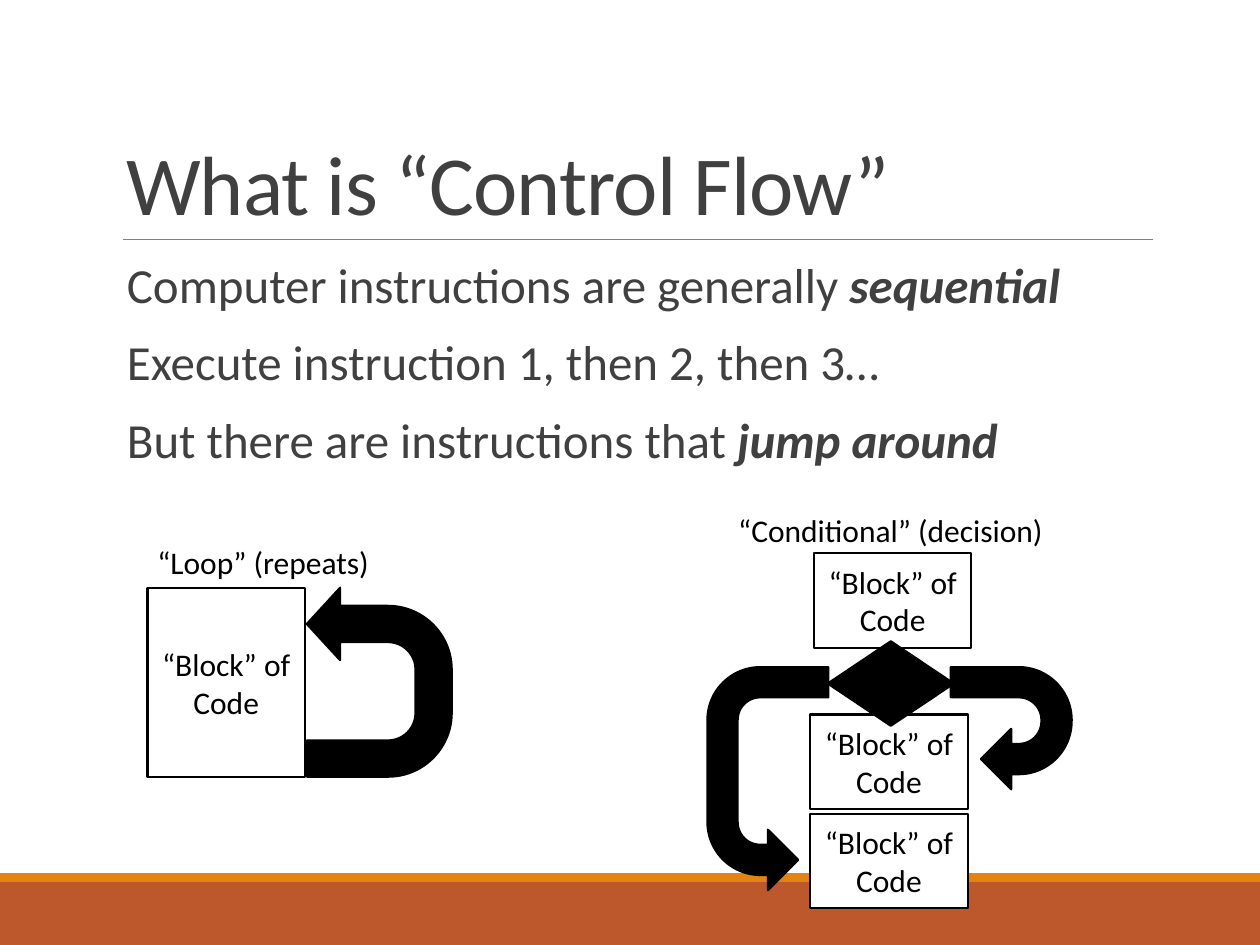
from lxml.etree import SubElement
from pptx import Presentation
from pptx.dml.color import RGBColor
from pptx.enum.shapes import MSO_CONNECTOR, MSO_SHAPE
from pptx.enum.text import MSO_ANCHOR, MSO_AUTO_SIZE, PP_ALIGN
from pptx.oxml.ns import qn
from pptx.util import Inches, Pt

BLACK = RGBColor(0x00, 0x00, 0x00)
WHITE = RGBColor(0xFF, 0xFF, 0xFF)
DARK_GRAY = RGBColor(0x40, 0x40, 0x40)
RULE_GRAY = RGBColor(0x80, 0x80, 0x80)
RUST = RGBColor(0xBD, 0x58, 0x2C)
ORANGE = RGBColor(0xE4, 0x83, 0x12)


class SlideBuilder:
    font_name = "Calibri"
    label_size = 18
    outline = Pt(1.25)

    def __init__(self, page):
        self.page = page

    def add_span(self, para, text, size, color, strong=False):
        span = para.add_run()
        span.text = text
        font = span.font
        font.name, font.size, font.color.rgb = self.font_name, Pt(size), color
        if strong:
            font.bold = font.italic = True
        return span

    def place(self, box, left, top, width, height):
        box.left, box.top = Inches(left), Inches(top)
        box.width, box.height = Inches(width), Inches(height)
        box.text_frame.auto_size = MSO_AUTO_SIZE.NONE

    def title(self, text, *position):
        box = self.page.shapes.title
        self.place(box, *position)
        box.text_frame.vertical_anchor = MSO_ANCHOR.BOTTOM
        para = box.text_frame.paragraphs[0]
        para.alignment, para.line_spacing = PP_ALIGN.LEFT, 0.85
        span = self.add_span(para, text, 48, DARK_GRAY)
        span.font._element.set("spc", "-50")

    def body(self, lines, *position):
        """Each line is a pair: plain text and the emphasised text after it."""
        box = self.page.placeholders[1]
        self.place(box, *position)
        frame = box.text_frame
        frame.margin_left = frame.margin_right = 0
        for index, (plain, strong) in enumerate(lines):
            para = frame.add_paragraph() if index else frame.paragraphs[0]
            self.blank_bullet(para)
            para.line_spacing = 0.9
            para.space_before, para.space_after = Pt(12 if index else 0), Pt(2)
            self.add_span(para, plain, 28, DARK_GRAY)
            if strong:
                self.add_span(para, strong, 28, DARK_GRAY, strong=True)

    def blank_bullet(self, para):
        properties = para._p.get_or_add_pPr()
        properties.set("marL", str(Inches(0.1)))
        properties.set("indent", str(-Inches(0.1)))
        color = SubElement(properties, qn("a:buClr"))
        SubElement(color, qn("a:srgbClr")).set("val", str(ORANGE))
        SubElement(properties, qn("a:buChar")).set("char", " ")

    def shape(self, kind, left, top, width, height, fill, line=None):
        shape = self.page.shapes.add_shape(
            kind, Inches(left), Inches(top), Inches(width), Inches(height))
        shape.shadow.inherit = False
        shape.fill.solid()
        shape.fill.fore_color.rgb = fill
        if line is None:
            shape.line.fill.background()
        else:
            shape.line.color.rgb = line
            shape.line.width = self.outline
        return shape

    def code_block(self, left, top, height):
        block = self.shape(MSO_SHAPE.RECTANGLE, left, top, 1.25, height, WHITE, BLACK)
        frame = block.text_frame
        frame.word_wrap = True
        frame.vertical_anchor = MSO_ANCHOR.MIDDLE
        para = frame.paragraphs[0]
        para.alignment = PP_ALIGN.CENTER
        self.add_span(para, "“Block” of Code", self.label_size, BLACK)

    def turn_arrow(self, left, top, width, height, rotation, flipped=False, adjustments=()):
        arrow = self.shape(MSO_SHAPE.U_TURN_ARROW, left, top, width, height, BLACK, BLACK)
        arrow.rotation = rotation
        if flipped:
            arrow._element.spPr.find(qn("a:xfrm")).set("flipV", "1")
        for index, value in enumerate(adjustments):
            arrow.adjustments[index] = value

    def label(self, text, left, top, width):
        box = self.page.shapes.add_textbox(
            Inches(left), Inches(top), Inches(width), Inches(0.4))
        box.text_frame.word_wrap = False
        box.text_frame.auto_size = MSO_AUTO_SIZE.SHAPE_TO_FIT_TEXT
        self.add_span(box.text_frame.paragraphs[0], text, self.label_size, BLACK)

    def rule(self, left, right, top):
        line = self.page.shapes.add_connector(
            MSO_CONNECTOR.STRAIGHT, Inches(left), Inches(top), Inches(right), Inches(top))
        line.line.color.rgb = RULE_GRAY
        line.line.width = Pt(0.5)
        SubElement(line._element.spPr, qn("a:effectLst"))


def main():
    deck = Presentation()
    deck.slide_width, deck.slide_height = Inches(10), Inches(7.5)
    slide = SlideBuilder(deck.slides.add_slide(deck.slide_layouts[1]))

    slide.shape(MSO_SHAPE.RECTANGLE, 0, 7, 10, 0.5, RUST)
    slide.shape(MSO_SHAPE.RECTANGLE, 0, 6.93, 10, 0.07, ORANGE)
    slide.rule(0.98, 9.15, 1.9)
    slide.title("What is “Control Flow”", 0.9, 0.31, 8.25, 1.59)
    slide.body([
        ("Computer instructions are generally ", "sequential"),
        ("Execute instruction 1, then 2, then 3…", ""),
        ("But there are instructions that ", "jump around"),
    ], 0.9, 2.02, 8.25, 1.98)

    # Loop
    slide.code_block(1.17, 4.67, 1.5)
    slide.turn_arrow(2.26, 4.84, 1.5, 1.15, 270, flipped=True,
                     adjustments=(0.25, 0.25, 0.23, 0.44, 1))
    slide.label("“Loop” (repeats)", 1.15, 4.26, 1.9)

    # Conditional
    slide.label("“Conditional” (decision)", 5.76, 4.01, 2.65)
    for left, top in ((6.46, 4.39), (6.43, 5.67), (6.43, 6.46)):
        slide.code_block(left, top, 0.75)
    slide.turn_arrow(7.54, 5.3, 0.97, 0.96, 90)
    slide.shape(MSO_SHAPE.FLOWCHART_DECISION, 6.57, 5.09, 1, 0.67, BLACK, BLACK)
    slide.turn_arrow(5.21, 5.7, 1.77, 0.96, 90, flipped=True)

    deck.save("out.pptx")


if __name__ == "__main__":
    main()
